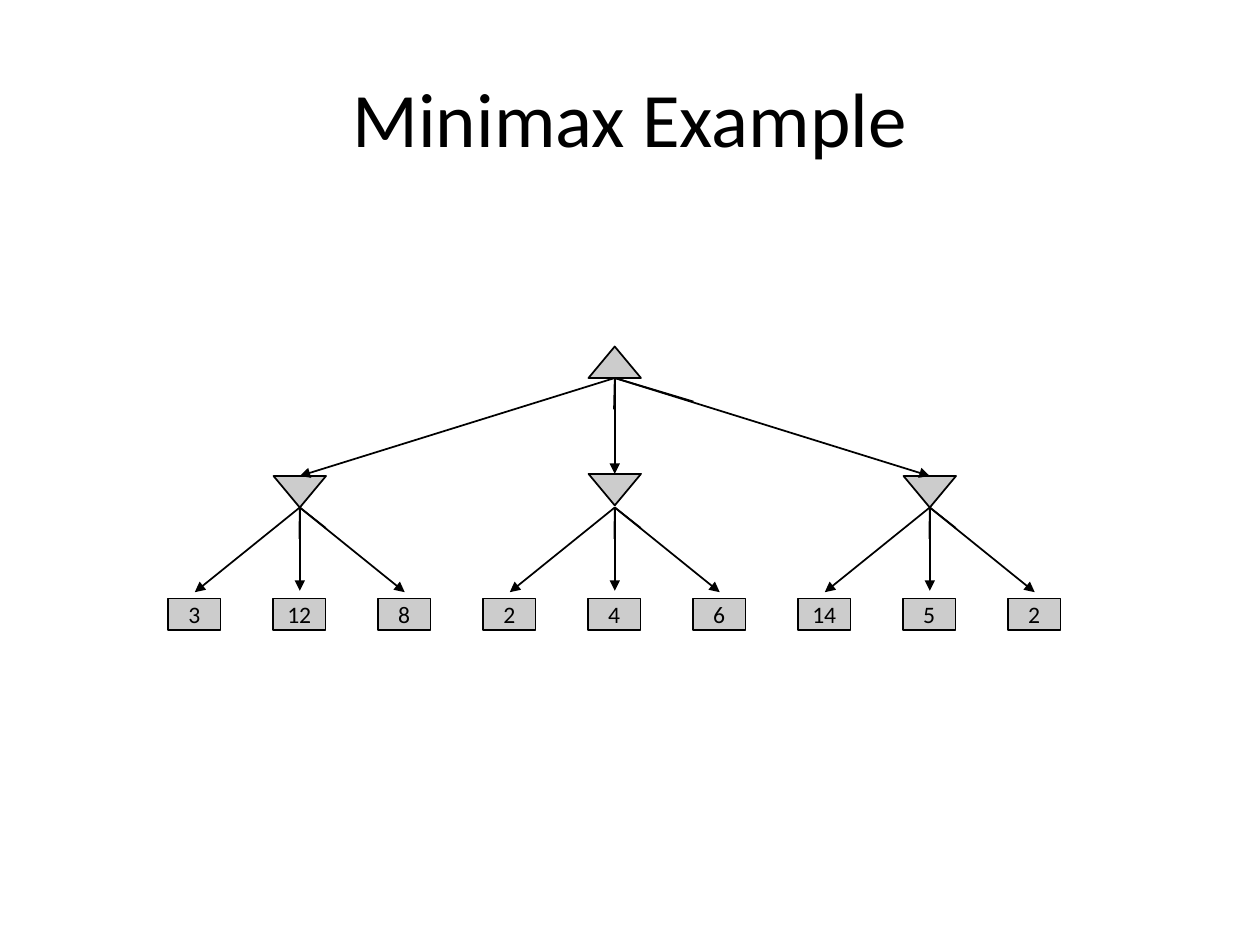
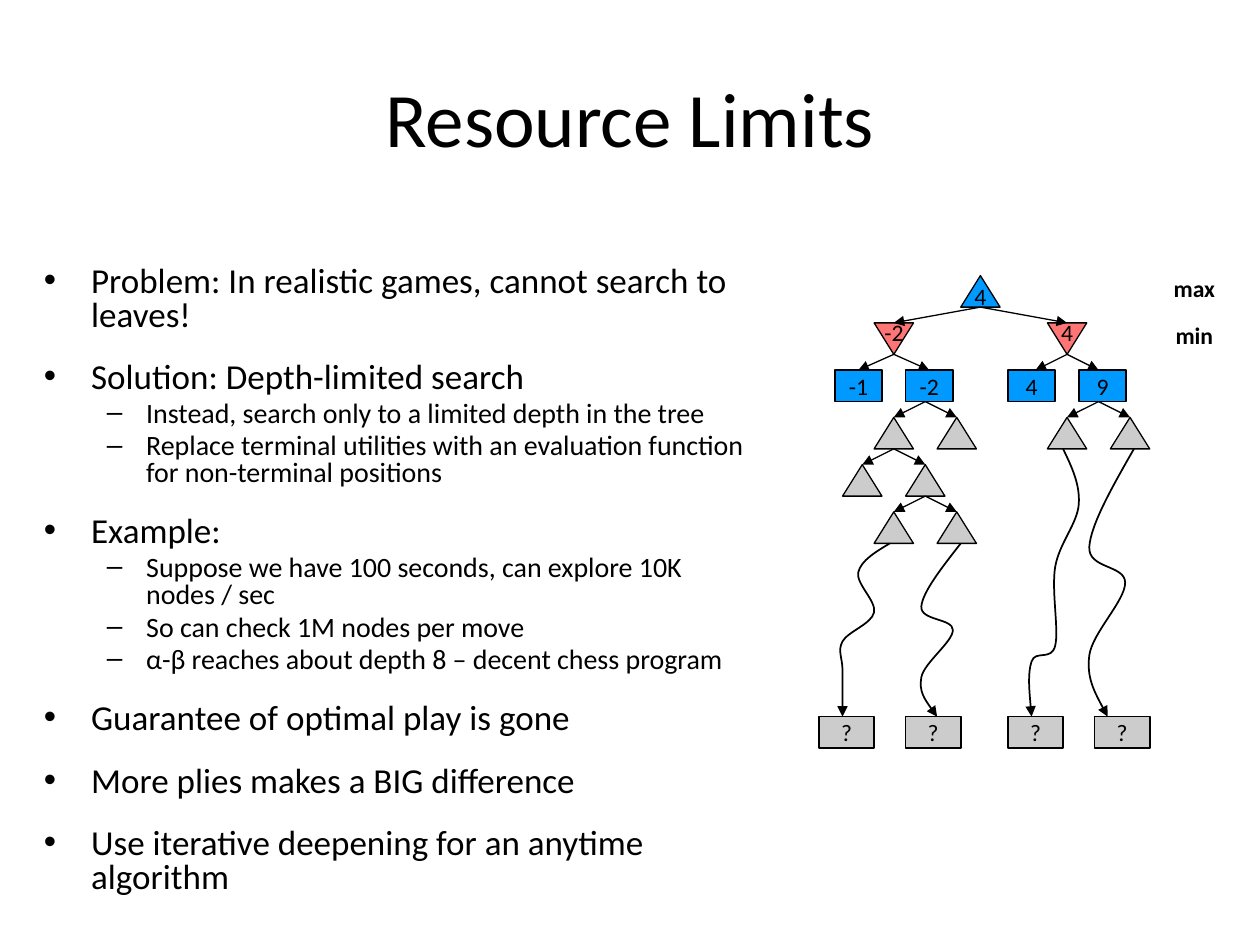
from dataclasses import dataclass, field
from itertools import pairwise
from typing import Any

from lxml.etree import SubElement
from pptx import Presentation
from pptx.dml.color import RGBColor
from pptx.enum.shapes import MSO_CONNECTOR, MSO_SHAPE
from pptx.enum.text import MSO_ANCHOR, PP_ALIGN
from pptx.oxml.ns import qn
from pptx.util import Pt

FONT = "Calibri"
BLACK, GRAY, BLUE, RED = "000000", "CCCCCC", "0099FF", "FF7575"
NODE_HEIGHT = 18
LABEL_SIZE = 13.5

Point = tuple[float, float]


@dataclass
class Node:
    center: float
    top: float
    width: float
    kind: str = "max"
    text: str = ""
    fill: str = GRAY
    weight: float = 0.75
    head_shift: float = 0
    foot_shift: float = 0
    frame: dict[str, Any] = field(default_factory=dict)
    shape: Any = None

    @property
    def head(self) -> Point:
        return self.center + self.head_shift, self.top

    @property
    def foot(self) -> Point:
        return self.center + self.foot_shift, self.top + NODE_HEIGHT


@dataclass(frozen=True)
class Level:
    bullet: str
    size: float
    margin: float
    hanging: float
    before: float


LEVELS = (Level("•", 20, 27, 27, 16.5), Level("–", 16, 58.5, 22.5, 3.2))
MIN_FRAME = {"margin_top": Pt(5)}
ROOT_FRAME = {"margin_top": Pt(10.8), "vertical_anchor": MSO_ANCHOR.BOTTOM}

LEAF_VALUES = ("3", "12", "8", "2", "4", "6", "14", "5", "2")

RESOURCE_POINTS = (
    (0, "Problem: In realistic games, cannot search to leaves!"),
    (0, "Solution: Depth-limited search"),
    (1, "Instead, search only to a limited depth in the tree"),
    (1, "Replace terminal utilities with an evaluation function for non-terminal positions"),
    (0, "Example:"),
    (1, "Suppose we have 100 seconds, can explore 10K nodes / sec"),
    (1, "So can check 1M nodes per move"),
    (1, "α-β reaches about depth 8 – decent chess program"),
    (0, "Guarantee of optimal play is gone"),
    (0, "More plies makes a BIG difference"),
    (0, "Use iterative deepening for an anytime algorithm"),
)

DEEP_PATHS = (
    ((508.5, 310.5), (490.5, 327), (499.5, 350), (481.5, 366.5), (481.5, 383), (481.5, 409.5)),
    ((549, 310.5), (526.5, 346.5), (544.5, 360), (526.5, 387), (535.5, 409.5)),
    ((648, 256.5), (622.5, 312.5), (643, 333), (622.5, 374.5), (633, 409.5)),
    ((607.5, 256.5), (616.5, 288), (603, 324), (603, 369), (589.5, 378), (589.5, 409.5)),
)


def paint(color: str) -> RGBColor:
    return RGBColor.from_string(color)


def set_values(target: Any, values: dict[str, Any]) -> None:
    for name, value in values.items():
        setattr(target, name, value)


def add_span(para: Any, text: str, size: float, bold: bool = False) -> None:
    span = para.add_run()
    span.text = text
    set_values(span.font, {"name": FONT, "size": Pt(size), "bold": bold})
    span.font.color.rgb = paint(BLACK)


def style_line(line: Any, weight: float, arrow: bool = False) -> None:
    line.width = Pt(weight)
    line.color.rgb = paint(BLACK)
    if arrow:
        SubElement(line._get_or_add_ln(), qn("a:tailEnd"), type="triangle")


def add_page(deck: Any, title: str) -> Any:
    page = deck.slides.add_slide(deck.slide_layouts[5])
    box = page.shapes.title
    set_values(box, {"left": Pt(36), "top": Pt(21.6), "width": Pt(648), "height": Pt(90)})
    box.text_frame.vertical_anchor = MSO_ANCHOR.MIDDLE
    para = box.text_frame.paragraphs[0]
    para.alignment = PP_ALIGN.CENTER
    add_span(para, title, 44)
    return page


def draw_node(page: Any, node: Node) -> Node:
    preset = MSO_SHAPE.RECTANGLE if node.kind == "box" else MSO_SHAPE.ISOSCELES_TRIANGLE
    shape = page.shapes.add_shape(
        preset, Pt(node.center - node.width / 2), Pt(node.top), Pt(node.width), Pt(NODE_HEIGHT)
    )
    shape.shadow.inherit = False
    shape.fill.solid()
    shape.fill.fore_color.rgb = paint(node.fill)
    style_line(shape.line, node.weight)
    frame = shape.text_frame
    if node.kind == "min":
        shape.rotation = 180
        frame._txBody.bodyPr.set("rot", "10800000")
    if node.text:
        set_values(frame, {"word_wrap": False, "vertical_anchor": MSO_ANCHOR.MIDDLE} | node.frame)
        para = frame.paragraphs[0]
        para.alignment = PP_ALIGN.CENTER
        add_span(para, node.text, LABEL_SIZE)
    node.shape = shape
    return node


def draw_line(page: Any, start: Point, end: Point, weight: float, arrow: bool = True) -> Any:
    line = page.shapes.add_connector(MSO_CONNECTOR.STRAIGHT, *map(Pt, start + end))
    style_line(line.line, weight, arrow)
    SubElement(line._element.spPr, qn("a:effectLst"))
    return line


def link_nodes(page: Any, parent: Node, child: Node, weight: float) -> None:
    line = draw_line(page, parent.foot, child.head, weight)
    if parent.kind == "box" and not parent.foot_shift:
        line.begin_connect(parent.shape, 2)
    if child.kind == "box" and not child.head_shift:
        line.end_connect(child.shape, 0)


def curve_controls(knots: tuple[Point, ...]) -> list[Point]:
    def along(values: tuple[float, ...]) -> list[float]:
        inner = [(after - before) / 6 for before, after in zip(values, values[2:])]
        first = (values[1] - inner[0] - values[0]) / 2
        last = (values[-1] - values[-2] - inner[-1]) / 2
        joints = zip(values, [first, *inner, last])
        return [
            value
            for (start, leave), (end, arrive) in pairwise(joints)
            for value in (start + leave, end - arrive, end)
        ]

    xs, ys = zip(*knots)
    return list(zip(along(xs), along(ys)))


def draw_path(page: Any, knots: tuple[Point, ...]) -> None:
    builder = page.shapes.build_freeform(*map(Pt, knots[0]))
    controls = [(Pt(x), Pt(y)) for x, y in curve_controls(knots)]
    builder.add_line_segments(controls, close=False)
    shape = builder.convert_to_shape()
    outline = next(shape._element.iter(qn("a:path")))
    segments = outline.findall(qn("a:lnTo"))
    for first in range(0, len(segments), 3):
        curve = SubElement(outline, qn("a:cubicBezTo"))
        for segment in segments[first : first + 3]:
            curve.append(segment[0])
            outline.remove(segment)
    shape.shadow.inherit = False
    shape.fill.background()
    style_line(shape.line, 1, arrow=True)


def add_bullets(page: Any) -> None:
    box = page.shapes.add_textbox(Pt(18), Pt(148.8), Pt(418.5), Pt(267))
    frame = box.text_frame
    frame.word_wrap = True
    for index, (depth, text) in enumerate(RESOURCE_POINTS):
        level = LEVELS[depth]
        para = frame.add_paragraph() if index else frame.paragraphs[0]
        before = Pt(level.before if index else 0)
        set_values(para, {"level": depth, "line_spacing": 0.8, "space_before": before})
        properties = para._p.get_or_add_pPr()
        properties.set("marL", str(Pt(level.margin)))
        properties.set("indent", str(-Pt(level.hanging)))
        SubElement(properties, qn("a:buFont"), typeface="Arial")
        SubElement(properties, qn("a:buChar"), char=level.bullet)
        add_span(para, text, level.size)


def add_player_label(page: Any, text: str, top: float) -> None:
    box = page.shapes.add_textbox(Pt(663), Pt(top), Pt(39), Pt(24))
    margins = {f"margin_{side}": 0 for side in ("left", "right")}
    set_values(box.text_frame, {"word_wrap": True, "vertical_anchor": MSO_ANCHOR.MIDDLE} | margins)
    para = box.text_frame.paragraphs[0]
    para.alignment = PP_ALIGN.CENTER
    add_span(para, text, LABEL_SIZE, bold=True)


def build_minimax(deck: Any) -> None:
    page = add_page(deck, "Minimax Example")
    width, leaf_top, shift = 30, 342, 0.3
    leaves = [
        draw_node(page, Node(111 + 60 * index, leaf_top, width, "box", value))
        for index, value in enumerate(LEAF_VALUES)
    ]
    root = draw_node(page, Node(351 + shift, 198, width, weight=1))
    x, y = root.foot
    stubs = [(root.foot, (x - 0.4, y + 18)), (root.foot, (x + 45, y + 13.5))]
    for group in range(3):
        children = leaves[3 * group : 3 * group + 3]
        top = 270.8 if group == 1 else 272
        center = children[1].center + shift
        parent = draw_node(page, Node(center, top, width, "min", weight=1))
        link_nodes(page, root, parent, 1)
        x, y = center, 290
        for child in children:
            arrow_end = 337.6 if child is children[1] else 338.4
            draw_line(page, (x, y), (child.center + shift, arrow_end), 1)
        stubs += [((x, y), (x - 0.2, y + 18)), ((x, y), (x + 14.8, y + 11.7))]
    for start, end in stubs:
        draw_line(page, start, end, 1, arrow=False)


def build_resource_limits(deck: Any) -> None:
    page = add_page(deck, "Resource Limits")
    add_bullets(page)

    def place(row: int, center: float, **options: Any) -> Node:
        return draw_node(page, Node(center, 157.5 + 27 * row, **({"width": 22.5} | options)))

    def place_box(center: float, text: str, head: float = 0, foot: float = 0) -> Node:
        look = {"width": 27, "kind": "box", "fill": BLUE, "weight": 1}
        return place(2, center, text=text, head_shift=head, foot_shift=foot, **look)

    def branch(parent: Node, children: list[Node]) -> None:
        for child in children:
            link_nodes(page, parent, child, 0.75)

    root = place(0, 560.25, text="4", fill=BLUE, frame=ROOT_FRAME)
    minimizers = [
        place(1, center, kind="min", text=text, fill=RED, frame=MIN_FRAME)
        for center, text in ((510.75, "-2"), (609.75, "4"))
    ]
    left_boxes = [place_box(490.5, "-1"), place_box(531, "-2", foot=-2.25)]
    right_boxes = [place_box(589.5, "4", head=2.25), place_box(630, "9", -2.25, -2.25)]
    left_third = [place(3, center) for center in (510.75, 546.75)]
    right_third = [place(3, center) for center in (609.75, 645.75)]
    fourth = [place(4, center) for center in (492.75, 528.75)]
    fifth = [place(5, center) for center in (510.75, 546.75)]

    branch(root, minimizers)
    branch(minimizers[0], left_boxes)
    branch(minimizers[1], right_boxes)
    branch(left_boxes[1], left_third)
    branch(right_boxes[1], right_third)
    branch(left_third[0], fourth)
    branch(fourth[1], fifth)

    for center in (483.75, 533.25, 591.75, 641.25):
        draw_node(page, Node(center, 409.5, 31.5, "box", "?", weight=1))
    for knots in DEEP_PATHS:
        draw_path(page, knots)
    add_player_label(page, "max", 152.5)
    add_player_label(page, "min", 179.5)


def main() -> None:
    deck = Presentation()
    set_values(deck, {"slide_width": Pt(720), "slide_height": Pt(540)})
    build_minimax(deck)
    build_resource_limits(deck)
    deck.save("out.pptx")


if __name__ == "__main__":
    main()
